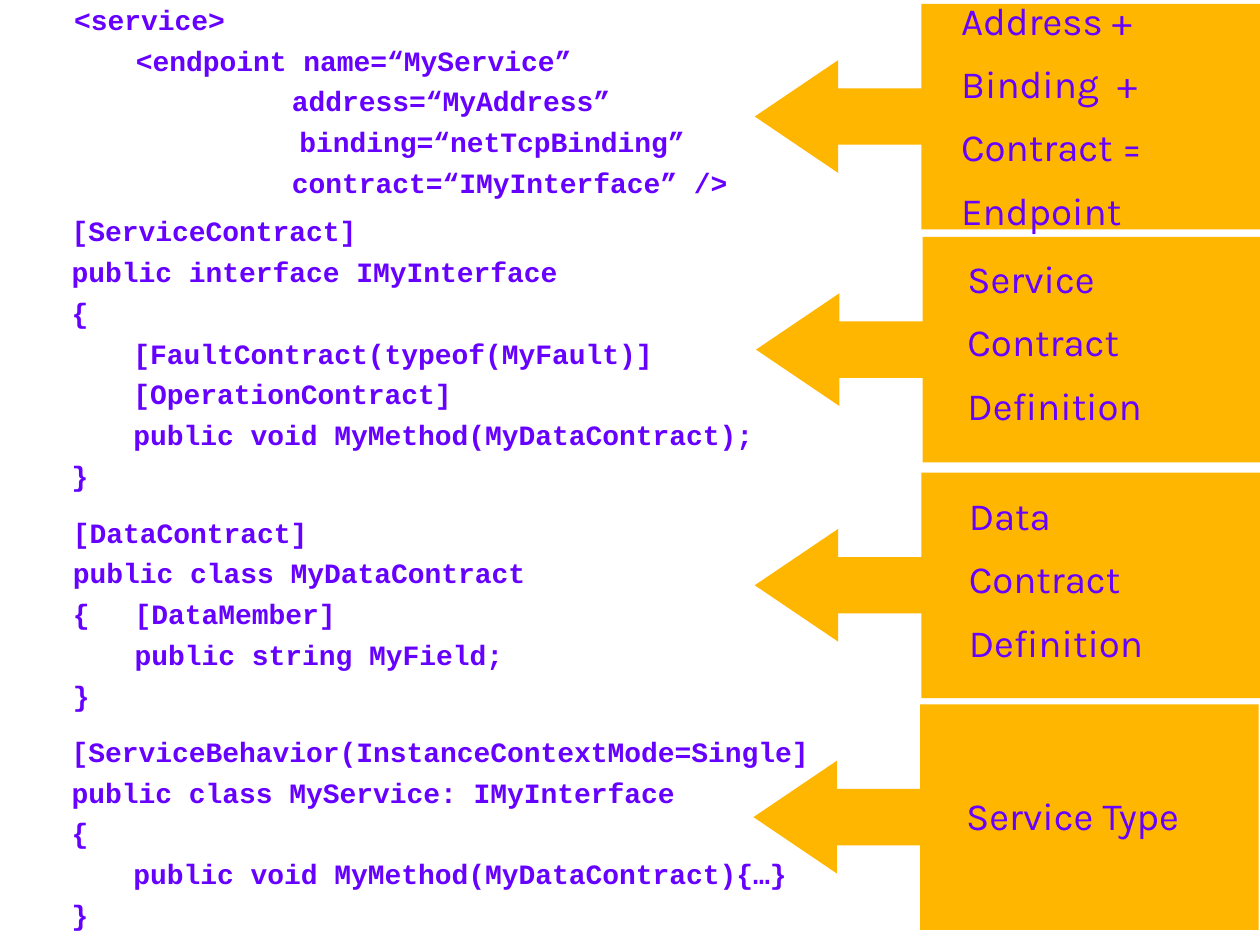
from dataclasses import dataclass

from lxml import etree
from pptx import Presentation
from pptx.dml.color import RGBColor
from pptx.enum.shapes import MSO_SHAPE
from pptx.enum.text import MSO_ANCHOR, MSO_AUTO_SIZE, PP_ALIGN
from pptx.oxml.ns import qn
from pptx.util import Inches, Pt

RECT = MSO_SHAPE.RECTANGLE
ARROW = MSO_SHAPE.LEFT_ARROW_CALLOUT
TOP = MSO_ANCHOR.TOP
LEFT = PP_ALIGN.LEFT
GROW = MSO_AUTO_SIZE.SHAPE_TO_FIT_TEXT


@dataclass(frozen=True)
class Theme:
    ink: RGBColor = RGBColor(0x66, 0x00, 0xFF)
    gold: RGBColor = RGBColor(0xFF, 0xB6, 0x01)
    paper: RGBColor = RGBColor(0xFF, 0xFF, 0xFF)
    code: Pt = Pt(16)
    label: Pt = Pt(22)


THEME = Theme()
HANG = Inches(0.49)
STOPS = (HANG, HANG + Inches(1))

FRAME = {"word_wrap": True, "auto_size": GROW, "vertical_anchor": TOP}
CODE = {
    "font": {"name": "Courier New", "size": THEME.code, "bold": True},
    "para": {"alignment": LEFT, "line_spacing": 0.9},
    "gap": Pt(6),
}
LABEL = {
    "font": {"name": "Karla", "size": THEME.label},
    "para": {"alignment": LEFT, "line_spacing": 0.85},
    "gap": Pt(13.8),
}

# Each row: code box, code, callout box, label box, label
ROWS = [
    (
        (0.49, 0, 6.4, 1.64),
        [
            "<service>",
            "\t<endpoint name=“MyService”",
            "             address=“MyAddress”",
            "\t\t      binding=“netTcpBinding”",
            "             contract=“IMyInterface” />",
        ],
        (5.99, 0.03, 4.01, 1.79),
        (7.53, -0.02, 2.22, 1.92),
        ["Address +", "Binding  +", "Contract =", "Endpoint"],
    ),
    (
        (0.47, 1.68, 6.43, 2.27),
        [
            "[ServiceContract]",
            "public interface IMyInterface",
            "{",
            "\t[FaultContract(typeof(MyFault)]",
            "\t[OperationContract]",
            "\tpublic void MyMethod(MyDataContract);",
            "}",
        ],
        (6, 1.88, 4.01, 1.79),
        (7.58, 2.03, 2.22, 1.42),
        ["Service", "Contract", "Definition"],
    ),
    (
        (0.48, 4.07, 6.43, 1.64),
        [
            "[DataContract]",
            "public class MyDataContract",
            "{\t[DataMember]",
            "\tpublic string MyField;",
            "}",
        ],
        (5.99, 3.75, 4.01, 1.79),
        (7.59, 3.91, 2.22, 1.42),
        ["Data", "Contract", "Definition"],
    ),
    (
        (0.47, 5.81, 6.47, 1.64),
        [
            "[ServiceBehavior(InstanceContextMode=Single]",
            "public class MyService: IMyInterface",
            "{",
            "\tpublic void MyMethod(MyDataContract){…}",
            "}",
        ],
        (5.98, 5.59, 4.01, 1.79),
        (7.57, 6.29, 2.22, 0.41),
        ["Service Type"],
    ),
]


def apply(item, values):
    for name, value in values.items():
        setattr(item, name, value)


def hang(para):
    """Give a paragraph its hanging indent and tab stops."""
    props = para._p.get_or_add_pPr()
    props.set("marL", str(HANG))
    props.set("indent", str(-HANG))
    tabs = etree.SubElement(props, qn("a:tabLst"))
    for stop in STOPS:
        etree.SubElement(tabs, qn("a:tab"), pos=str(stop), algn="l")


def write(frame, lines, style, hung=False):
    apply(frame, FRAME)
    for i, line in enumerate(lines):
        para = frame.add_paragraph() if i else frame.paragraphs[0]
        if hung:
            hang(para)
        apply(para, style["para"])
        if i:
            para.space_before = style["gap"]
        run = para.add_run()
        run.text = line
        apply(run.font, style["font"])
        run.font.color.rgb = THEME.ink


def add_block(slide, kind, box, color):
    shape = slide.shapes.add_shape(kind, *map(Inches, box))
    shape.shadow.inherit = False
    shape.fill.solid()
    shape.fill.fore_color.rgb = color
    shape.line.fill.background()
    return shape


def add_code(slide, box, lines):
    block = add_block(slide, RECT, box, THEME.paper)
    write(block.text_frame, lines, CODE, hung=True)


def add_callout(slide, box):
    arrow = add_block(slide, ARROW, box, THEME.gold)
    for i, value in enumerate((0.25, 0.25, 0.37, 0.67)):
        arrow.adjustments[i] = value


def add_label(slide, box, lines):
    text = slide.shapes.add_textbox(*map(Inches, box))
    write(text.text_frame, lines, LABEL)


def main():
    deck = Presentation()
    deck.slide_width, deck.slide_height = Inches(10), Inches(7.5)
    slide = deck.slides.add_slide(deck.slide_layouts[6])
    for code_box, code, arrow_box, label_box, label in ROWS:
        add_code(slide, code_box, code)
        add_callout(slide, arrow_box)
        add_label(slide, label_box, label)
    deck.save("out.pptx")


if __name__ == "__main__":
    main()
